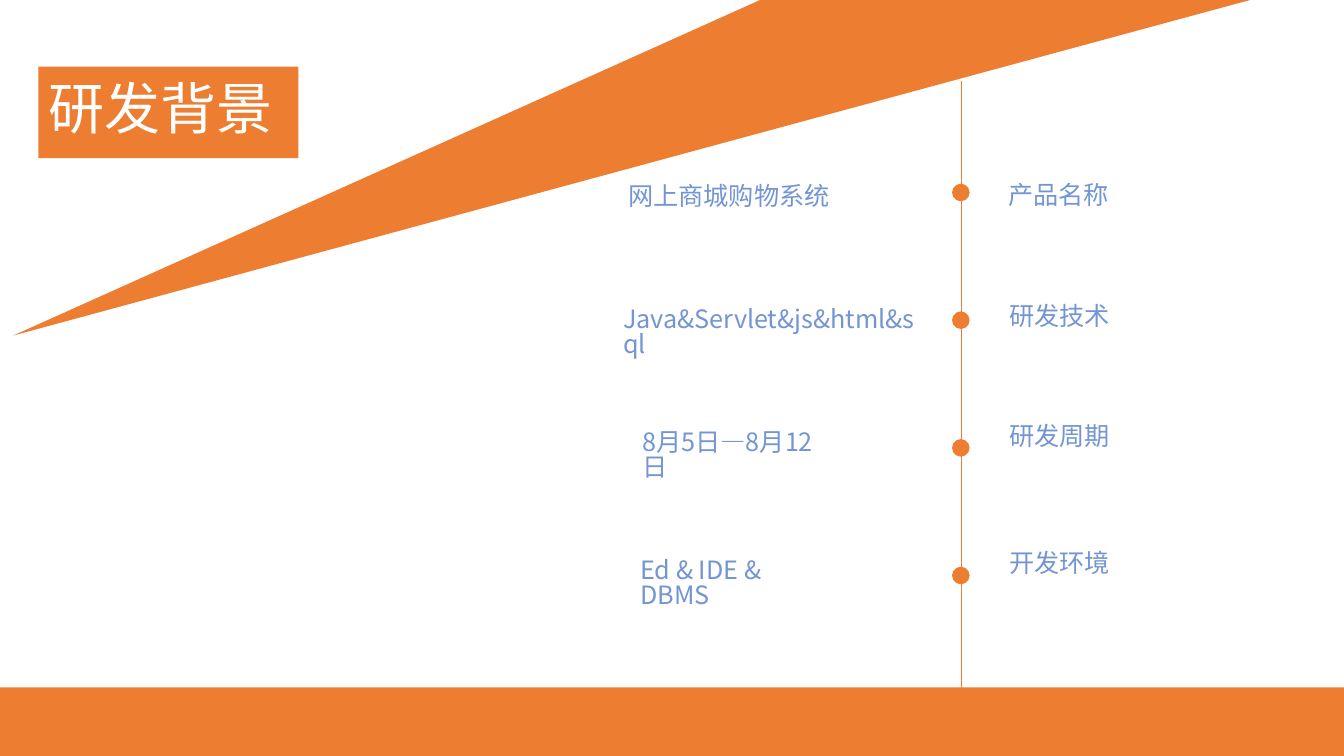
from pptx import Presentation
from pptx.dml.color import RGBColor
from pptx.enum.shapes import MSO_CONNECTOR, MSO_SHAPE
from pptx.enum.text import MSO_ANCHOR, PP_ALIGN
from pptx.oxml.ns import qn
from pptx.util import Inches, Pt
from lxml.etree import SubElement

ORANGE, BLUE, WHITE = "ED7D31", "7395D3", "FFFFFF"
FONT = "Noto Sans CJK SC"


def paint(shape, color, line_width=None):
    shape.shadow.inherit = False
    shape.fill.solid()
    shape.fill.fore_color.rgb = RGBColor.from_string(color)
    if line_width is None:
        shape.line.fill.background()
    else:
        shape.line.color.rgb = RGBColor.from_string(color)
        shape.line.width = Pt(line_width)


def write(shape, text, size=18, color=BLUE, align=PP_ALIGN.LEFT, anchor=MSO_ANCHOR.TOP):
    frame = shape.text_frame
    frame.word_wrap = True
    frame.vertical_anchor = anchor
    frame.margin_left = frame.margin_right = frame.margin_top = frame.margin_bottom = 0
    paragraph = frame.paragraphs[0]
    paragraph.alignment = align
    paragraph.line_spacing = 0.83
    run = paragraph.add_run()
    run.text = text
    run.font.size = Pt(size)
    run.font.name = FONT
    run.font.color.rgb = RGBColor.from_string(color)
    SubElement(run.font._element, qn("a:ea")).set("typeface", FONT)


presentation = Presentation()
presentation.slide_width = Inches(13.33)
presentation.slide_height = Inches(7.5)
slide = presentation.slides.add_slide(presentation.slide_layouts[5])
shapes = slide.shapes

# Slanted wedge
builder = shapes.build_freeform(Inches(7.54), 0)
builder.add_line_segments([(Inches(12.4), 0), (Inches(0.13), Inches(3.33))], close=True)
paint(builder.convert_to_shape(), ORANGE)

# Title on its plate
plate = shapes.add_shape(MSO_SHAPE.RECTANGLE, Inches(0.38), Inches(0.66), Inches(2.58), Inches(0.91))
paint(plate, ORANGE)
title = shapes.title
title.left, title.top, title.width, title.height = (Inches(n) for n in (0.48, 0.78, 2.43, 0.67))
write(title, "研发背景", size=40, color=WHITE, anchor=MSO_ANCHOR.MIDDLE)
plate._element.addnext(title._element)

# Timeline axis
axis = shapes.add_connector(MSO_CONNECTOR.STRAIGHT, Inches(9.53), Inches(0.8), Inches(9.53), Inches(7.5))
axis.line.color.rgb = RGBColor.from_string(ORANGE)
axis.line.width = Pt(0.5)
SubElement(axis._element.spPr, qn("a:effectLst"))

# Timeline rows: label, label top, value, value left, top and width
rows = [
    ("产品名称", 1.83, "网上商城购物系统", 6.23, 1.84, 2.02),
    ("研发技术", 3.03, "Java&Servlet&js&html&sql", 6.18, 3.06, 3.03),
    ("研发周期", 4.22, "8月5日—8月12日", 6.37, 4.28, 1.89),
    ("开发环境", 5.48, "Ed & IDE & DBMS", 6.35, 5.55, 1.89),
]
for index, (label, label_top, value, left, top, width) in enumerate(rows):
    dot_top = 1.83 + index * 3.8 / 3
    dot = shapes.add_shape(MSO_SHAPE.OVAL, Inches(9.45), Inches(dot_top), Inches(0.16), Inches(0.16))
    paint(dot, ORANGE, line_width=1)
    label_box = shapes.add_textbox(Inches(10), Inches(label_top), Inches(1.01), Inches(0.3))
    write(label_box, label, align=PP_ALIGN.RIGHT if index else PP_ALIGN.LEFT)
    value_box = shapes.add_textbox(Inches(left), Inches(top), Inches(width), Inches(0.3))
    write(value_box, value)

# Bottom band
band = shapes.add_shape(MSO_SHAPE.RECTANGLE, 0, Inches(6.82), Inches(13.33), Inches(0.68))
paint(band, ORANGE)

presentation.save("out.pptx")
